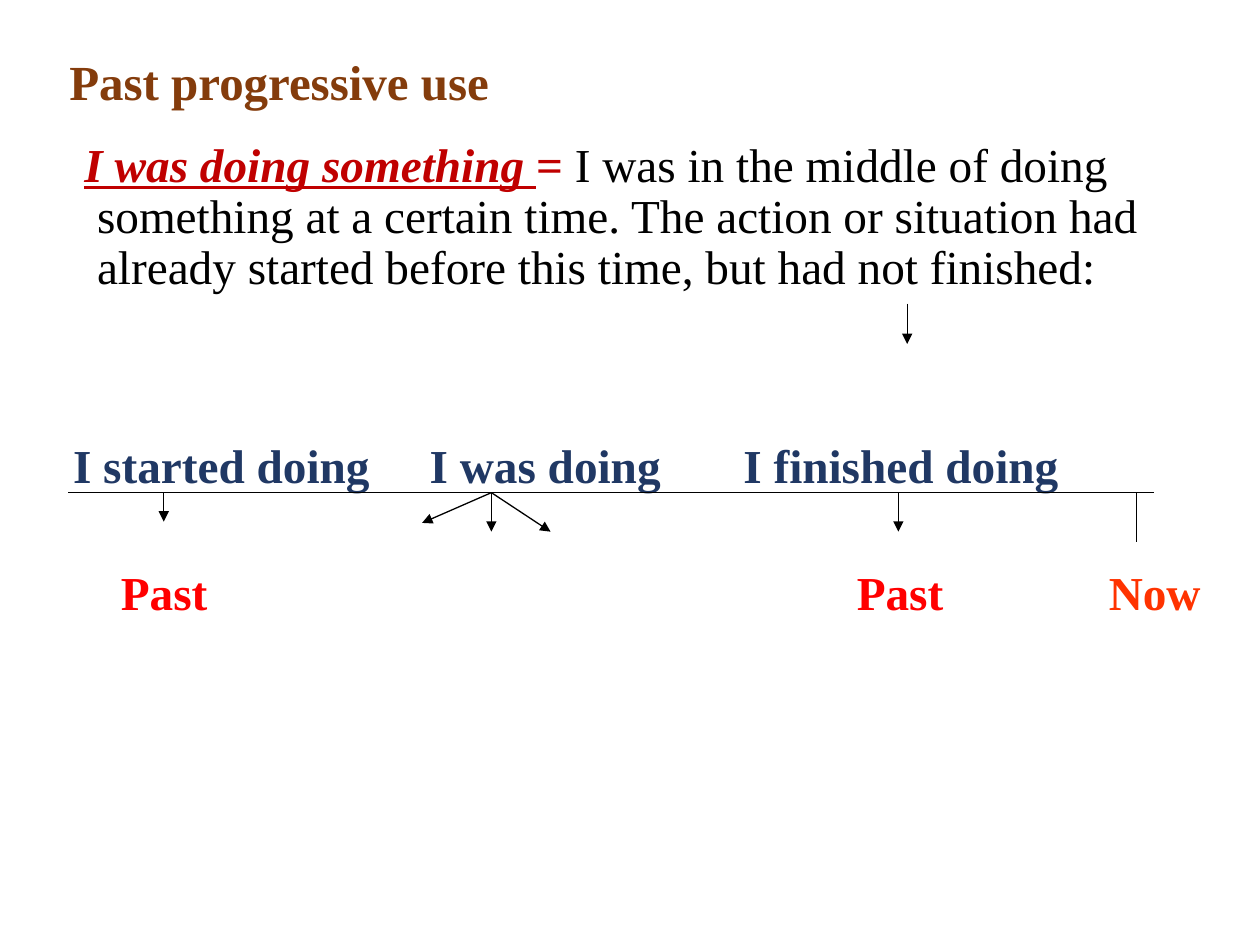
"""Build the slide that explains the past progressive with a timeline."""
from lxml import etree
from pptx import Presentation
from pptx.dml.color import RGBColor
from pptx.enum.shapes import MSO_CONNECTOR
from pptx.enum.text import MSO_ANCHOR, MSO_AUTO_SIZE, PP_ALIGN
from pptx.oxml.ns import qn
from pptx.util import Inches, Pt

BLACK = RGBColor(0x00, 0x00, 0x00)
BROWN = RGBColor(0x84, 0x3C, 0x0C)
CRIMSON = RGBColor(0xC0, 0x00, 0x00)
NAVY = RGBColor(0x20, 0x38, 0x64)
RED = RGBColor(0xFF, 0x00, 0x00)
ORANGE = RGBColor(0xFF, 0x33, 0x00)
AXIS_Y = 3.91
STAGE_Y = 3.46
TIME_Y = 4.47


def add_run(paragraph, text, color, size=27, bold=True, accent=False):
    run = paragraph.add_run()
    run.text = text
    run.font.name = "Times New Roman"
    run.font.size = Pt(size)
    run.font.bold = bold
    run.font.italic = run.font.underline = accent
    run.font.color.rgb = color


prs = Presentation()
prs.slide_width, prs.slide_height = Inches(10), Inches(7.5)
slide = prs.slides.add_slide(prs.slide_layouts[1])

heading = slide.shapes.title
heading.left, heading.top = Inches(0.45), Inches(0.36)
heading.width, heading.height = Inches(6.14), Inches(0.57)
heading.text_frame.auto_size = MSO_AUTO_SIZE.NONE
heading.text_frame.vertical_anchor = MSO_ANCHOR.MIDDLE
heading_line = heading.text_frame.paragraphs[0]
heading_line.alignment = PP_ALIGN.LEFT
add_run(heading_line, "Past progressive use", BROWN, size=28)

explanation = slide.placeholders[1]
explanation.left, explanation.top = Inches(0.48), Inches(1.07)
explanation.width, explanation.height = Inches(9.5), Inches(1.34)
explanation.text_frame.auto_size = MSO_AUTO_SIZE.NONE
explanation.text_frame.vertical_anchor = MSO_ANCHOR.TOP

definition = explanation.text_frame.paragraphs[0]
definition.alignment = PP_ALIGN.LEFT
definition.line_spacing = 0.9
definition.space_before = Pt(0)
definition_format = definition._p.get_or_add_pPr()
definition_format.set("marL", str(Inches(0.19)))
definition_format.set("indent", str(Inches(-0.1)))
etree.SubElement(definition_format, qn("a:buNone"))
add_run(definition, "I was doing something ", CRIMSON, accent=True)
add_run(definition, "= ", CRIMSON)
add_run(
    definition,
    "I was in the middle of doing something at a certain time. The action or "
    "situation had already started before this time, but had not finished:",
    BLACK,
    bold=False,
)

timeline_words = [
    ("I started doing", 0.58, STAGE_Y, 2.5, NAVY),
    ("I was doing", 3.41, STAGE_Y, 2, NAVY),
    ("I finished doing", 5.9, STAGE_Y, 2.7, NAVY),
    ("Past", 0.96, TIME_Y, 0.9, RED),
    ("Past", 6.8, TIME_Y, 0.9, RED),
    ("Now", 8.8, TIME_Y, 0.9, ORANGE),
]
for words, left, top, width, color in timeline_words:
    label = slide.shapes.add_textbox(Inches(left), Inches(top), Inches(width), Inches(0.43))
    frame = label.text_frame
    frame.word_wrap = True
    frame.margin_left = frame.margin_right = frame.margin_top = frame.margin_bottom = 0
    add_run(frame.paragraphs[0], words, color)

timeline = [
    (0.54, AXIS_Y, 9.16, AXIS_Y, False),
    (7.2, 2.41, 7.2, 2.73, True),
    (9.02, 4.3, 9.02, AXIS_Y, False),
    (1.3, AXIS_Y, 1.3, 4.14, True),
    (3.9, AXIS_Y, 3.35, 4.15, True),
    (3.9, AXIS_Y, 3.9, 4.22, True),
    (3.9, AXIS_Y, 4.37, 4.22, True),
    (7.13, AXIS_Y, 7.13, 4.22, True),
]
for *ends, has_arrow in timeline:
    stroke = slide.shapes.add_connector(MSO_CONNECTOR.STRAIGHT, *map(Inches, ends))
    stroke.line.color.rgb = BLACK
    stroke.line.width = Pt(0.75)
    if has_arrow:
        etree.SubElement(stroke.line._get_or_add_ln(), qn("a:tailEnd"), type="triangle")
    etree.SubElement(stroke._element.spPr, qn("a:effectLst"))

prs.save("out.pptx")
